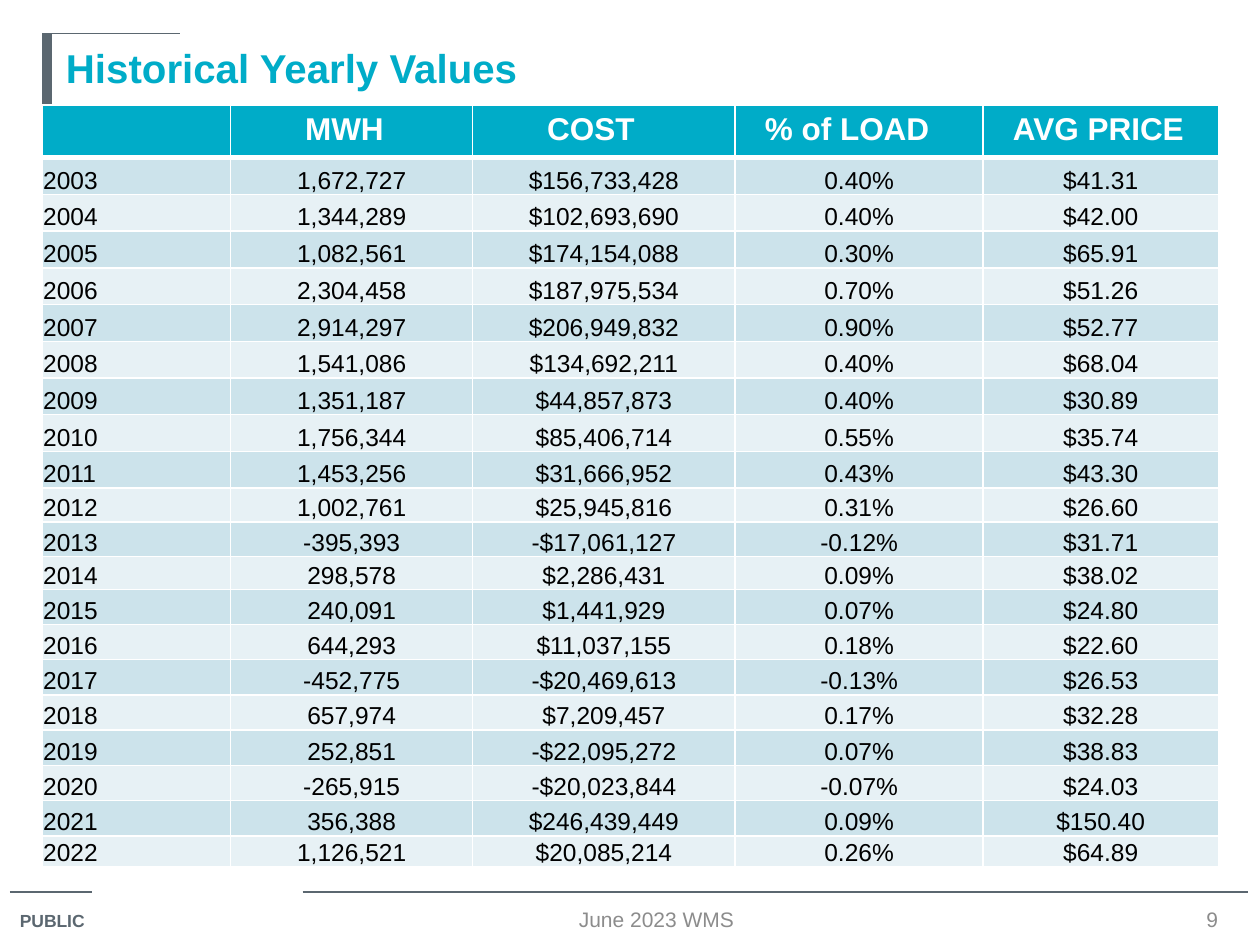
from lxml.etree import SubElement
from pptx import Presentation
from pptx.dml.color import RGBColor
from pptx.enum.shapes import MSO_CONNECTOR, MSO_SHAPE
from pptx.enum.text import MSO_ANCHOR, PP_ALIGN
from pptx.oxml.ns import qn
from pptx.util import Cm, Pt

TEAL = RGBColor(0x00, 0xAC, 0xC8)
SLATE = RGBColor(0x5B, 0x67, 0x70)
GRAY = RGBColor(0x8C, 0x8C, 0x8C)
BLACK = RGBColor(0x00, 0x00, 0x00)
WHITE = RGBColor(0xFF, 0xFF, 0xFF)
BAND_DARK = RGBColor(0xCC, 0xE3, 0xEB)
BAND_LIGHT = RGBColor(0xE7, 0xF1, 0xF5)

HEADINGS = ["", "MWH", "COST", "% of LOAD", "AVG PRICE"]
HEADING_INDENTS = [0.25, 1.5, 1.5, 0.6, 0.6]
COLUMN_WIDTHS = [3.8, 4.88, 5.29, 5, 4.74]
ROW_HEIGHTS = [1.06] + [0.74] * 9 + [0.68, 0.7, 0.66] + [0.71] * 7 + [0.56]
YEARLY_VALUES = [
    ("2003", "1,672,727", "$156,733,428", "0.40%", "$41.31"),
    ("2004", "1,344,289", "$102,693,690", "0.40%", "$42.00"),
    ("2005", "1,082,561", "$174,154,088", "0.30%", "$65.91"),
    ("2006", "2,304,458", "$187,975,534", "0.70%", "$51.26"),
    ("2007", "2,914,297", "$206,949,832", "0.90%", "$52.77"),
    ("2008", "1,541,086", "$134,692,211", "0.40%", "$68.04"),
    ("2009", "1,351,187", "$44,857,873", "0.40%", "$30.89"),
    ("2010", "1,756,344", "$85,406,714", "0.55%", "$35.74"),
    ("2011", "1,453,256", "$31,666,952", "0.43%", "$43.30"),
    ("2012", "1,002,761", "$25,945,816", "0.31%", "$26.60"),
    ("2013", "-395,393", "-$17,061,127", "-0.12%", "$31.71"),
    ("2014", "298,578", "$2,286,431", "0.09%", "$38.02"),
    ("2015", "240,091", "$1,441,929", "0.07%", "$24.80"),
    ("2016", "644,293", "$11,037,155", "0.18%", "$22.60"),
    ("2017", "-452,775", "-$20,469,613", "-0.13%", "$26.53"),
    ("2018", "657,974", "$7,209,457", "0.17%", "$32.28"),
    ("2019", "252,851", "-$22,095,272", "0.07%", "$38.83"),
    ("2020", "-265,915", "-$20,023,844", "-0.07%", "$24.03"),
    ("2021", "356,388", "$246,439,449", "0.09%", "$150.40"),
    ("2022", "1,126,521", "$20,085,214", "0.26%", "$64.89"),
]


def write_text(frame, text, size, color, bold=False, align=PP_ALIGN.LEFT):
    paragraph = frame.paragraphs[0]
    paragraph.text = text
    paragraph.alignment = align
    font = paragraph.font
    font.name, font.size, font.bold = "Arial", Pt(size), bold
    font.color.rgb = color


def add_label(slide, left, top, width, height, text,
              anchor=MSO_ANCHOR.TOP, inset_top=0.13, **text_format):
    frame = slide.shapes.add_textbox(Cm(left), Cm(top), Cm(width), Cm(height)).text_frame
    frame.word_wrap = True
    frame.vertical_anchor = anchor
    frame.margin_top = Cm(inset_top)
    write_text(frame, text, **text_format)


def add_rule(slide, left, right, y):
    rule = slide.shapes.add_connector(
        MSO_CONNECTOR.STRAIGHT, Cm(left), Cm(y), Cm(right), Cm(y))
    rule.line.color.rgb = SLATE
    rule.line.width = Pt(0.75)
    SubElement(rule._element.spPr, qn("a:effectLst"))


def add_title(slide, left, top, width, height):
    bar_width = 0.2
    bar = slide.shapes.add_shape(
        MSO_SHAPE.RECTANGLE, Cm(left), Cm(top), Cm(bar_width), Cm(height))
    bar.shadow.inherit = False
    bar.fill.solid()
    bar.fill.fore_color.rgb = SLATE
    bar.line.fill.background()
    add_rule(slide, left, left + 2.77, top)
    add_label(slide, left + bar_width + 0.03, top, width - bar_width, height,
              "Historical Yearly Values", inset_top=0.19, size=23, color=TEAL, bold=True)


def style_cell(cell, fill, top=1, bottom=1):
    """Give the cell its fill and white borders, with top and bottom widths in points."""
    properties = cell._tc.get_or_add_tcPr()
    for side, width in (("L", 1), ("R", 1), ("T", top), ("B", bottom)):
        border = SubElement(properties, qn(f"a:ln{side}"), w=str(Pt(width)))
        border_fill = SubElement(border, qn("a:solidFill"))
        SubElement(border_fill, qn("a:srgbClr"), val=str(WHITE))
    cell.fill.solid()
    cell.fill.fore_color.rgb = fill


def add_yearly_table(slide, left, top):
    table = slide.shapes.add_table(
        len(ROW_HEIGHTS), len(COLUMN_WIDTHS), Cm(left), Cm(top),
        Cm(sum(COLUMN_WIDTHS)), Cm(sum(ROW_HEIGHTS))).table
    for column, width in zip(table.columns, COLUMN_WIDTHS):
        column.width = Cm(width)
    for row, height in zip(table.rows, ROW_HEIGHTS):
        row.height = Cm(height)

    for cell, heading, indent in zip(table.rows[0].cells, HEADINGS, HEADING_INDENTS):
        style_cell(cell, TEAL, bottom=3)
        cell.margin_left = Cm(indent)
        write_text(cell.text_frame, heading, 18, WHITE, bold=True)

    for index, values in enumerate(YEARLY_VALUES, start=1):
        band = BAND_DARK if index % 2 else BAND_LIGHT
        for column, value in enumerate(values):
            cell = table.cell(index, column)
            style_cell(cell, band, top=3 if index == 1 else 1)
            cell.margin_left = cell.margin_right = cell.margin_top = Cm(0.02)
            cell.margin_bottom = 0
            cell.vertical_anchor = MSO_ANCHOR.BOTTOM
            write_text(cell.text_frame, value, 14, BLACK,
                       align=PP_ALIGN.CENTER if column else PP_ALIGN.LEFT)


def add_footer(slide, left, top, width):
    add_rule(slide, left, left + 1.65, top)
    add_rule(slide, left + 5.9, left + width, top)
    add_label(slide, left - 0.05, top + 0.23, 1.96, 0.71, "PUBLIC",
              size=10, color=SLATE, bold=True)
    centered = dict(anchor=MSO_ANCHOR.MIDDLE, size=12, color=GRAY, align=PP_ALIGN.CENTER)
    add_label(slide, left + 7.42, top + 0.23, 11.23, 0.64, "June 2023 WMS", **centered)
    add_label(slide, left + 23.5, top + 0.23, 1.47, 0.64, "9", **centered)


def main():
    presentation = Presentation()
    presentation.slide_width, presentation.slide_height = Cm(25.4), Cm(19.05)
    slide = presentation.slides.add_slide(presentation.slide_layouts[6])
    add_footer(slide, left=0.2, top=17.98, width=24.95)
    add_title(slide, left=0.85, top=0.68, width=23.7, height=1.43)
    add_yearly_table(slide, left=0.85, top=2.12)
    presentation.save("out.pptx")


if __name__ == "__main__":
    main()
